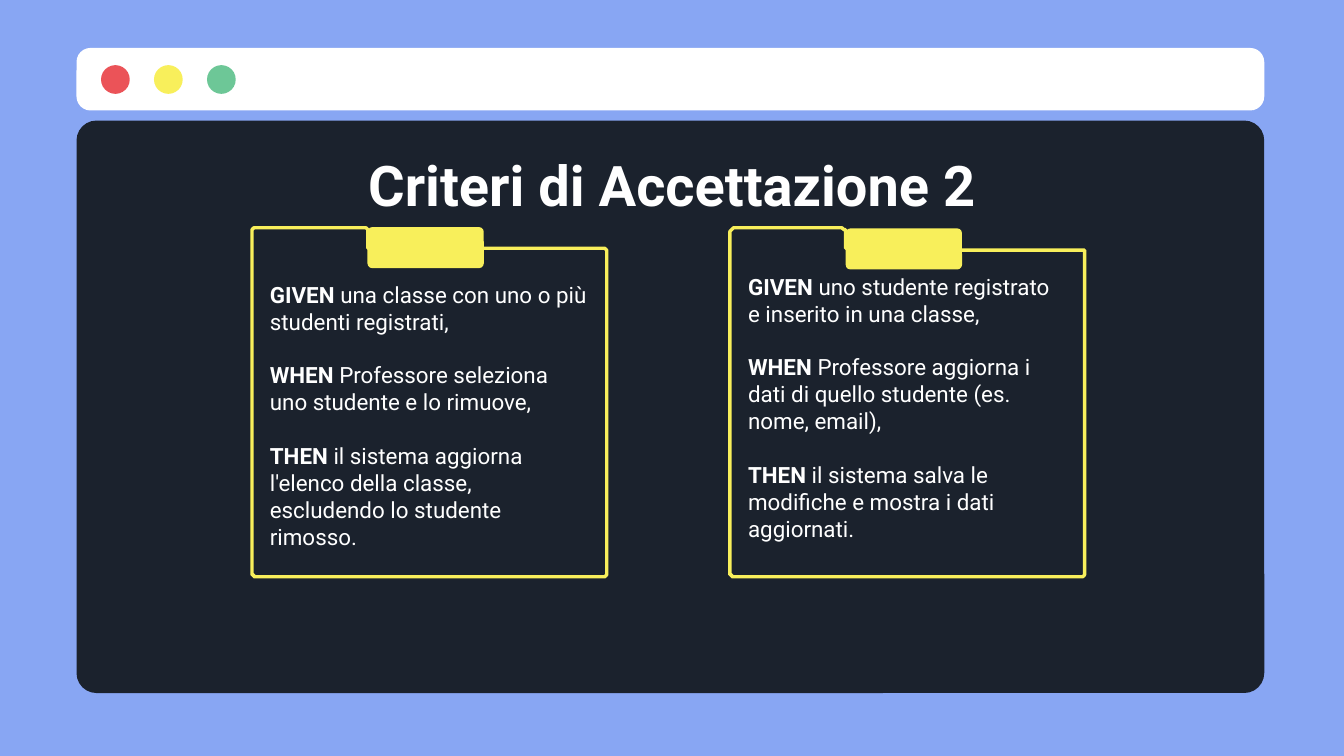
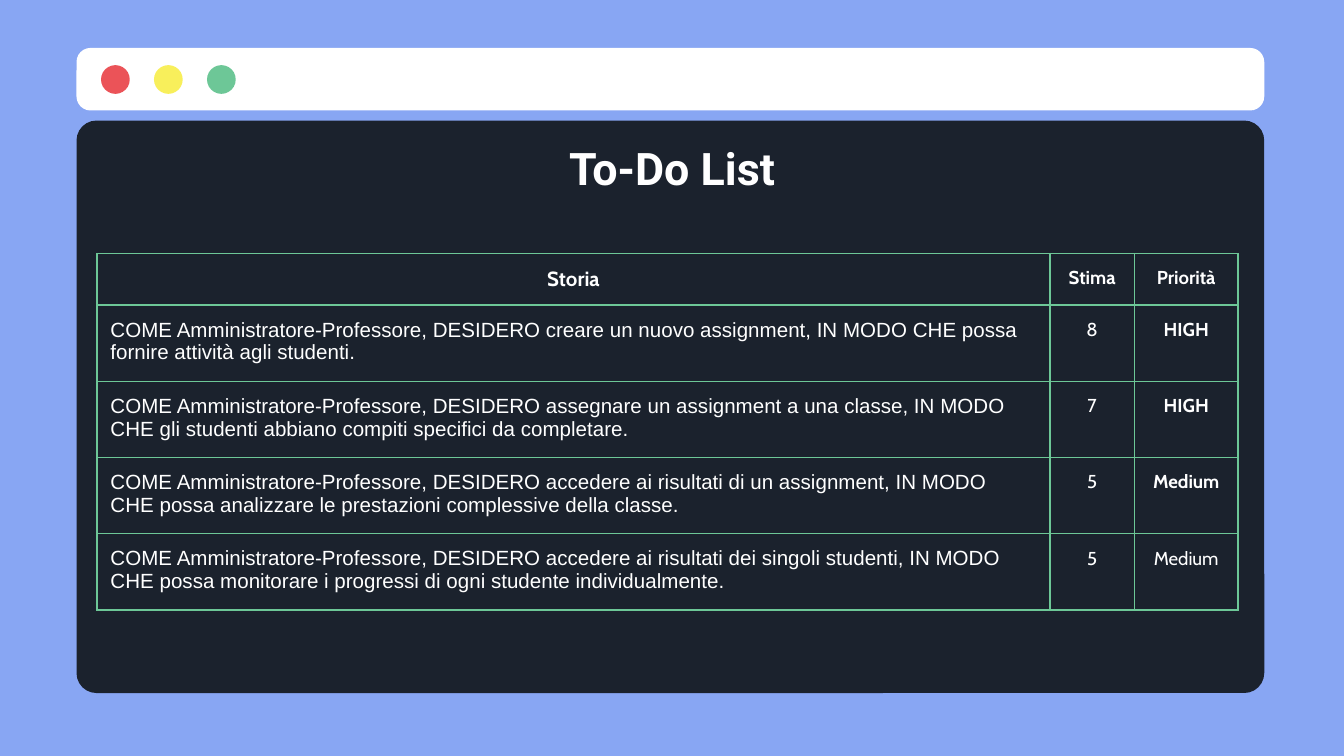
from lxml import etree
from pptx import Presentation
from pptx.dml.color import RGBColor
from pptx.enum import shapes, text
from pptx.oxml import ns
from pptx.util import Pt

SKY, NIGHT, WHITE = "88A6F3", "1B222D", "FFFFFF"
RED, YELLOW, GREEN = "EB5358", "F8EF5B", "6DC797"

CARDS_TITLE = "Criteri di Accettazione 2"
CARDS = [
    # shift of the card, text top, clauses
    ((0, 0), 146.9, [
        ("GIVEN", " una classe con uno o più studenti registrati,"),
        ("WHEN", " Professore seleziona uno studente e lo rimuove,"),
        ("THEN", " il sistema aggiorna l'elenco della classe, "
                 "escludendo lo studente rimosso."),
    ]),
    ((256.2, 0.7), 142.6, [
        ("GIVEN", " uno studente registrato e inserito in una classe,"),
        ("WHEN", " Professore aggiorna i dati di quello studente "
                 "(es. nome, email),"),
        ("THEN", " il sistema salva le modifiche e mostra i dati aggiornati."),
    ]),
]

TODO_TITLE = "To-Do List"
HEADS = ("Storia", "Stima", "Priorità")
ROLE = "COME Amministratore-Professore, DESIDERO "
STORIES = [
    # wish, estimate, priority, bold priority
    ("creare un nuovo assignment, IN MODO CHE possa fornire attività "
     "agli studenti.", "8", "HIGH", True),
    ("assegnare un assignment a una classe, IN MODO CHE gli studenti "
     "abbiano compiti specifici da completare.", "7", "HIGH", True),
    ("accedere ai risultati di un assignment, IN MODO CHE possa analizzare "
     "le prestazioni complessive della classe.", "5", "Medium", True),
    ("accedere ai risultati dei singoli studenti, IN MODO CHE possa "
     "monitorare i progressi di ogni studente individualmente.",
     "5", "Medium", False),
]
COLS, HEAD_ROW, ROW = (510.5, 45.2, 55.6), 24.5, 36


def rgb(code):
    return RGBColor.from_string(code)


def write(frame, paras, size, font="Roboto", center=False, after=0):
    """Fill a text frame; each paragraph is a list of (words, bold) runs."""
    frame.word_wrap = True
    for i, runs in enumerate(paras):
        para = frame.add_paragraph() if i else frame.paragraphs[0]
        para.alignment = text.PP_ALIGN.CENTER if center else text.PP_ALIGN.LEFT
        para.space_after = Pt(after)
        for words, bold in runs:
            run = para.add_run()
            run.text = words
            run.font.size, run.font.name, run.font.bold = Pt(size), font, bold
            run.font.color.rgb = rgb(WHITE)


def block(slide, kind, box, color, radius=None):
    shape = slide.shapes.add_shape(kind, *map(Pt, box))
    shape.shadow.inherit = False
    shape.fill.solid()
    shape.fill.fore_color.rgb = rgb(color)
    shape.line.fill.background()
    if radius:
        shape.adjustments[0] = radius / min(box[2:])


def window(deck, title, top, size):
    """Add a slide with the browser window and its title."""
    slide = deck.slides.add_slide(deck.slide_layouts[6])
    slide.background.fill.solid()
    slide.background.fill.fore_color.rgb = rgb(SKY)
    kind = shapes.MSO_SHAPE
    block(slide, kind.ROUNDED_RECTANGLE, (41, 25.7, 636.3, 33.5), WHITE, 7.5)
    for i, color in enumerate((RED, YELLOW, GREEN)):
        block(slide, kind.OVAL, (54.1 + 28.4 * i, 34.9, 15.4, 15.4), color)
    block(slide, kind.ROUNDED_RECTANGLE, (41, 64.6, 636.3, 306.7), NIGHT, 10.7)

    frame = slide.shapes.add_textbox(
        Pt(56.7), Pt(top), Pt(606.7), Pt(44.6)).text_frame
    frame.margin_top = frame.margin_bottom = Pt(7.2)
    frame.vertical_anchor = text.MSO_ANCHOR.MIDDLE
    write(frame, [[(title, True)]], size, center=True)
    return slide


def bend(points, radius=2.2, steps=4):
    """Round each corner of a right-angled outline."""
    curve = []
    for i, (x, y) in enumerate(points):
        ends = []
        for px, py in (points[i - 1], points[(i + 1) % len(points)]):
            far = abs(px - x) + abs(py - y)
            ends.append((x + (px - x) * radius / far,
                         y + (py - y) * radius / far))
        (ax, ay), (bx, by) = ends
        for k in range(steps + 1):
            t = k / steps
            a, m, b = (1 - t) ** 2, 2 * t * (1 - t), t ** 2
            curve.append((a * ax + m * x + b * bx, a * ay + m * y + b * by))
    return curve


def card(slide, shift, top, clauses):
    dx, dy = shift
    left, mid, right = 135 + dx, 196.9 + dx, 325.2 + dx
    high, step, low = 121.7 + dy, 133.2 + dy, 308.8
    block(slide, shapes.MSO_SHAPE.ROUNDED_RECTANGLE,
          (mid, high, 62.3, 22), YELLOW, 2.5)

    edge = bend([(left, high), (mid, high), (mid, step),
                 (right, step), (right, low), (left, low)])
    pen = slide.shapes.build_freeform(*edge[0], scale=float(Pt(1)))
    pen.add_line_segments(edge[1:], close=True)
    rim = pen.convert_to_shape()
    rim.shadow.inherit = False
    rim.fill.background()
    rim.line.color.rgb = rgb(YELLOW)
    rim.line.width = Pt(1.8)

    note = slide.shapes.add_textbox(
        Pt(137.5 + dx), Pt(top), Pt(184.3), Pt(low - top))
    write(note.text_frame, [[(key, True), (rest, False)]
                            for key, rest in clauses], 12, after=14.4)


def border(cell):
    props = cell._tc.get_or_add_tcPr()
    for side in "LRTB":
        line = etree.SubElement(props, ns.qn("a:ln" + side), w=str(Pt(0.75)))
        fill = etree.SubElement(line, ns.qn("a:solidFill"))
        etree.SubElement(fill, ns.qn("a:srgbClr"), val=GREEN)


def todo(slide):
    rows = [[(head, True) for head in HEADS]]
    rows += [[(ROLE + wish, False), (cost, False), (rank, bold)]
             for wish, cost, rank, bold in STORIES]
    high = HEAD_ROW + ROW * len(STORIES)
    grid = slide.shapes.add_table(len(rows), len(COLS), Pt(52), Pt(135.8),
                                  Pt(sum(COLS)), Pt(high)).table
    grid.first_row = grid.horz_banding = False
    for col, width in zip(grid.columns, COLS):
        col.width = Pt(width)
    for r, row in enumerate(rows):
        grid.rows[r].height = Pt(ROW if r else HEAD_ROW)
        for c, run in enumerate(row):
            cell = grid.cell(r, c)
            border(cell)
            cell.fill.background()
            cell.margin_left = cell.margin_right = Pt(7.2)
            cell.margin_top = cell.margin_bottom = Pt(7.2)
            story = r > 0 and c == 0
            write(cell.text_frame, [[run]], 10 if c else 11,
                  font="Arial" if story else "Cabin",
                  center=not story, after=16 if c else 0)


def main():
    deck = Presentation()
    deck.slide_width, deck.slide_height = Pt(720), Pt(405)
    slide = window(deck, CARDS_TITLE, 76.3, 30)
    for item in CARDS:
        card(slide, *item)
    todo(window(deck, TODO_TITLE, 67.7, 24))
    deck.save("out.pptx")


if __name__ == "__main__":
    main()
